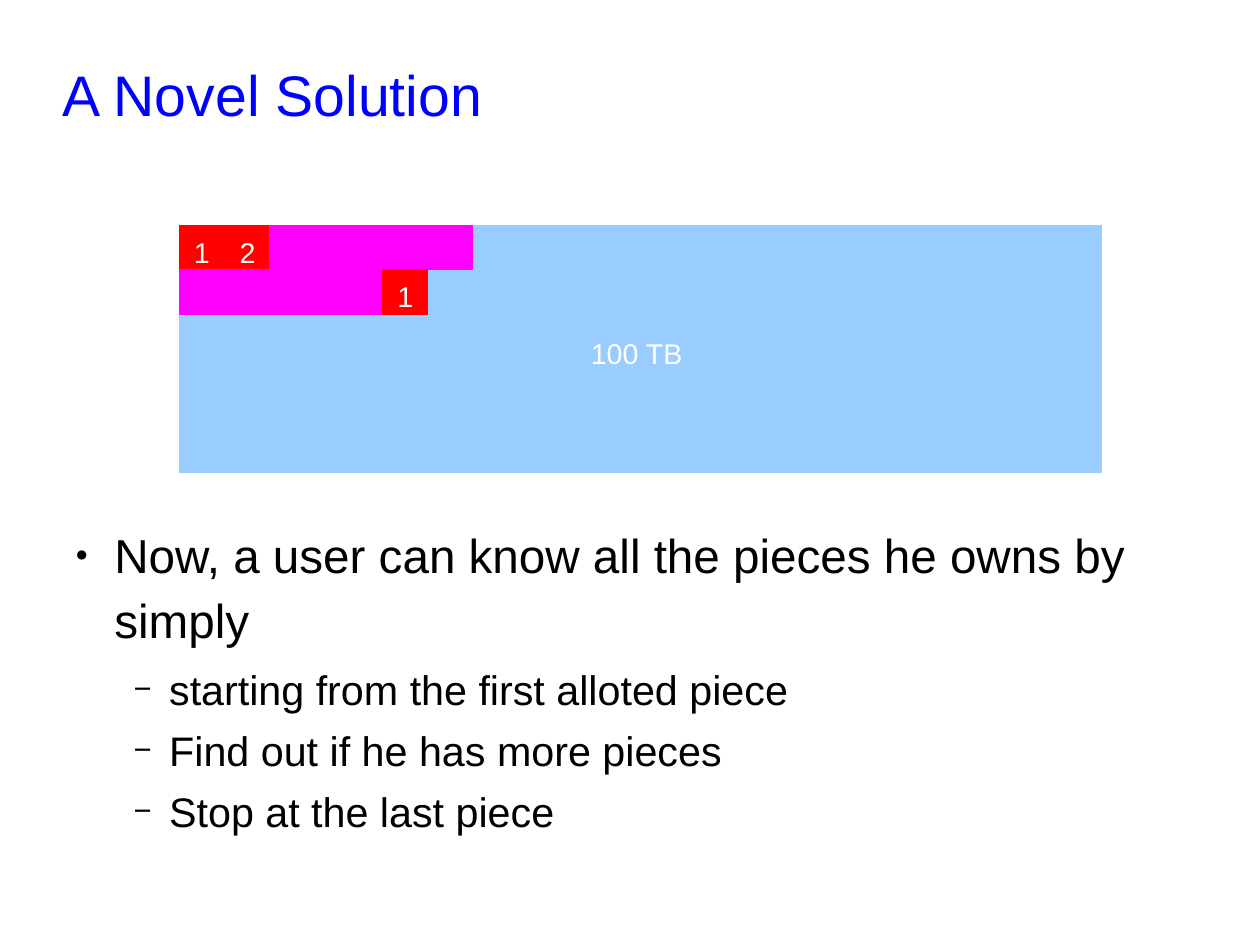
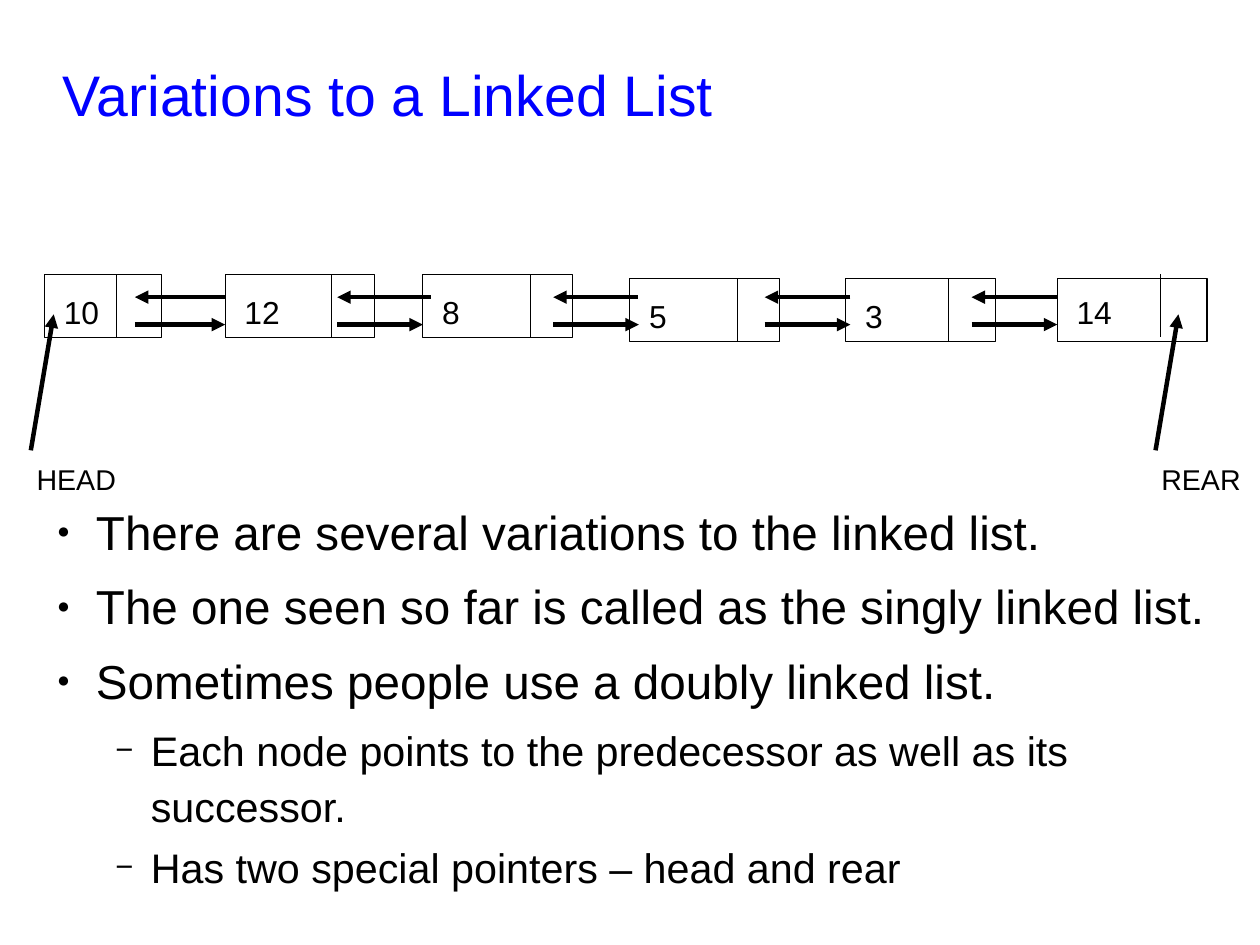
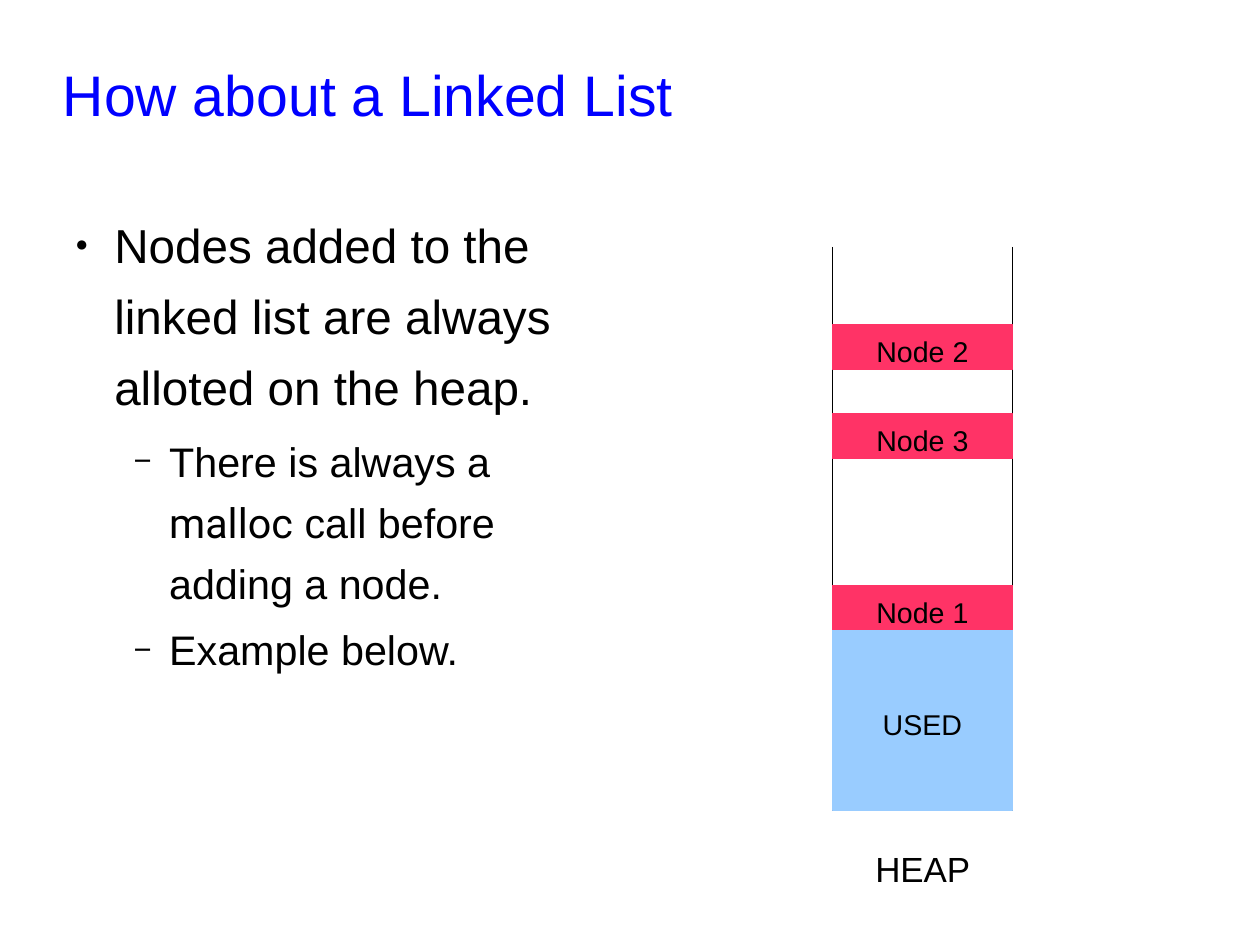
from lxml import etree
from pptx import Presentation
from pptx import util as u
from pptx.dml.color import RGBColor
from pptx.enum import shapes, text
from pptx.oxml.ns import qn

BLUE = RGBColor(0x00, 0x00, 0xFF)
SKY = RGBColor(0x99, 0xCC, 0xFF)
RED = RGBColor(0xFF, 0x00, 0x00)
MAGENTA = RGBColor(0xFF, 0x00, 0xFF)
PINK = RGBColor(0xFF, 0x33, 0x66)
BLACK = RGBColor(0x00, 0x00, 0x00)
WHITE = RGBColor(0xFF, 0xFF, 0xFF)
FONT = "Arial"
CODE_FONT = "Roboto"
SPACING = 1.24
LEVELS = [
    dict(size=30, margin=0.45, indent=-0.34, after=5.8, char="●", percent=45),
    dict(size=26, margin=0.93, indent=-0.31, after=2.9, char="−", percent=75),
]

SOLUTION_TEXT = [
    (0, ["Now, a user can know all the pieces he owns by simply"]),
    (1, ["starting from the first alloted piece"]),
    (1, ["Find out if he has more pieces"]),
    (1, ["Stop at the last piece"]),
]
CELL = 0.39
DISK_LEFT, DISK_TOP = 1.57, 1.97
DISK_PIECES = [
    (1.57, 0, CELL, RED, "1"),
    (1.97, 0, CELL, RED, "2"),
    (2.36, 0, 1.77, MAGENTA, ""),
    (1.57, 1, 1.77, MAGENTA, ""),
    (3.35, 1, CELL, RED, "1"),
]

VARIATIONS_TEXT = [
    (0, ["There are several variations to the linked list."]),
    (0, ["The one seen so far is called as the singly linked list."]),
    (0, ["Sometimes people use a doubly linked list."]),
    (1, ["Each node points to the predecessor as well as its successor."]),
    (1, ["Has two special pointers – head and rear"]),
]
NODE_HEIGHT = 0.55
LIST_NODES = [
    ("10", 0.39, 2.4, 1.02, 1.02, 2.4),
    ("12", 1.97, 2.4, 1.31, 2.9, 2.4),
    ("8", 3.7, 2.4, 1.31, 4.64, 2.4),
    ("5", 5.51, 2.44, 1.31, 6.45, 2.44),
    ("3", 7.4, 2.44, 1.31, 8.3, 2.44),
    ("14", 9.25, 2.44, 1.31, 10.15, 2.4),
]
LINKS = [(1.18, 1.97, 1.97), (2.95, 3.7, 3.77), (4.84, 5.59, 5.58),
         (6.69, 7.44, 7.44), (8.5, 9.25, 9.25)]
NEXT_Y, PREVIOUS_Y = 2.84, 2.6
END_POINTERS = [("HEAD", 0.2), ("REAR", 10.04)]

HEAP_TEXT = [
    (0, ["Nodes added to the linked list are always alloted on the heap."]),
    (1, ["There is always a ", ("malloc", CODE_FONT), " call before adding a node."]),
    (1, ["Example below."]),
]
HEAP_LEFT, HEAP_RIGHT, HEAP_TOP, HEAP_BOTTOM = 7.28, 8.86, 2.16, 7.09
HEAP_BLOCKS = [
    ("USED", 5.51, 1.58, SKY),
    ("Node 1", 5.12, CELL, PINK),
    ("Node 2", 2.84, CELL, PINK),
    ("Node 3", 3.62, CELL, PINK),
]


def box(*lengths):
    return [u.Inches(n) for n in lengths]


def set_frame(tf, inset_x=0.1, inset_y=0.05, wrap=True, anchor=text.MSO_ANCHOR.TOP):
    tf.word_wrap = wrap
    tf.auto_size = text.MSO_AUTO_SIZE.NONE
    tf.vertical_anchor = anchor
    tf.margin_left = tf.margin_right = u.Inches(inset_x)
    tf.margin_top = tf.margin_bottom = u.Inches(inset_y)


def add_run(p, words, size, color=BLACK, font=FONT):
    r = p.add_run()
    r.text = words
    r.font.size = u.Pt(size)
    r.font.name = font
    r.font.color.rgb = color


def set_line(p, words, size, color=BLACK, align=text.PP_ALIGN.LEFT):
    p.alignment = align
    p.line_spacing = SPACING
    add_run(p, words, size, color)


def add_titled_slide(prs, title):
    s = prs.slides.add_slide(prs.slide_layouts[5])
    sp = s.shapes.title
    sp.left, sp.top, sp.width, sp.height = box(0.55, 0.38, 9.9, 0.74)
    set_frame(sp.text_frame, 0, 0, anchor=text.MSO_ANCHOR.MIDDLE)
    set_line(sp.text_frame.paragraphs[0], title, 36, BLUE)
    return s


def add_bullet(p, style):
    pPr = p._p.get_or_add_pPr()
    pPr.set("marL", str(u.Inches(style["margin"])))
    pPr.set("indent", str(u.Inches(style["indent"])))
    color = etree.SubElement(pPr, qn("a:buClr"))
    etree.SubElement(color, qn("a:srgbClr")).set("val", str(BLACK))
    etree.SubElement(pPr, qn("a:buSzPct")).set("val", str(style["percent"] * 1000))
    etree.SubElement(pPr, qn("a:buFont")).set("typeface", FONT)
    etree.SubElement(pPr, qn("a:buChar")).set("char", style["char"])


def add_body(s, items, place, spacing):
    tf = s.shapes.add_textbox(*box(*place)).text_frame
    set_frame(tf, 0, 0)
    for i, (level, parts) in enumerate(items):
        p = tf.add_paragraph() if i else tf.paragraphs[0]
        style = LEVELS[level]
        add_bullet(p, style)
        p.level = level
        p.line_spacing = spacing
        p.space_before = u.Pt(0)
        p.space_after = u.Pt(style["after"])
        for part in parts:
            words, font = (part, FONT) if isinstance(part, str) else part
            add_run(p, words, style["size"], font=font)


def add_block(s, place, fill=None, label="", color=BLACK):
    sp = s.shapes.add_shape(shapes.MSO_SHAPE.RECTANGLE, *box(*place))
    sp.shadow.inherit = False
    sp.line.width = u.Pt(0.75)
    sp.line.color.rgb = fill or BLACK
    if fill:
        sp.fill.solid()
        sp.fill.fore_color.rgb = fill
    else:
        sp.fill.background()
    if label:
        set_frame(sp.text_frame, wrap=False, anchor=text.MSO_ANCHOR.MIDDLE)
        set_line(sp.text_frame.paragraphs[0], label, 18, color, text.PP_ALIGN.CENTER)


def add_label(s, words, place, size, inset_x=0.1, inset_y=0.05):
    tf = s.shapes.add_textbox(*box(*place)).text_frame
    set_frame(tf, inset_x, inset_y)
    set_line(tf.paragraphs[0], words, size)


def add_line(s, x1, y1, x2, y2, arrow=False):
    c = s.shapes.add_connector(shapes.MSO_CONNECTOR.STRAIGHT, *box(x1, y1, x2, y2))
    c.line.color.rgb = BLACK
    c.line.width = u.Pt(2.83 if arrow else 0.75)
    spPr = c._element.spPr
    if arrow:
        etree.SubElement(spPr.find(qn("a:ln")), qn("a:tailEnd")).set("type", "triangle")
    etree.SubElement(spPr, qn("a:effectLst"))


def build_solution(prs):
    s = add_titled_slide(prs, "A Novel Solution")
    add_body(s, SOLUTION_TEXT, (0.55, 4.53, 9.91, 3.01), 1.14)
    add_block(s, (DISK_LEFT, DISK_TOP, 8.07, 2.16), SKY, "100 TB ", WHITE)
    for left, row, width, fill, label in DISK_PIECES:
        add_block(s, (left, DISK_TOP + row * CELL, width, CELL), fill, label, WHITE)


def build_variations(prs):
    s = add_titled_slide(prs, "Variations to a Linked List")
    add_body(s, VARIATIONS_TEXT, (0.39, 4.33, 10.24, 3.75), 1.14)
    for label, left, top, width, divider, divider_top in LIST_NODES:
        add_block(s, (left, top, width, NODE_HEIGHT))
        add_line(s, divider, divider_top, divider, divider_top + NODE_HEIGHT)
        add_label(s, label, (left + 0.07, divider_top + 0.03, 0.52, 0.51), 20)
    for left, next_right, previous_right in LINKS:
        add_line(s, left, NEXT_Y, next_right, NEXT_Y, arrow=True)
        add_line(s, previous_right, PREVIOUS_Y, left, PREVIOUS_Y, arrow=True)
    for label, left in END_POINTERS:
        add_line(s, left + 0.07, 3.94, left + 0.27, 2.75, arrow=True)
        add_label(s, label, (left, 3.9, 1.18, 0.51), 18, 0.12, 0.07)


def build_heap(prs):
    s = add_titled_slide(prs, "How about a Linked List")
    add_body(s, HEAP_TEXT, (0.55, 1.77, 4.37, 5.81), SPACING)
    for x in (HEAP_LEFT, HEAP_RIGHT):
        add_line(s, x, HEAP_TOP, x, HEAP_BOTTOM)
    add_line(s, HEAP_LEFT, HEAP_BOTTOM, HEAP_RIGHT, HEAP_BOTTOM)
    add_label(s, "HEAP", (7.56, 7.28, 1.18, 0.59), 22)
    for label, top, height, fill in HEAP_BLOCKS:
        add_block(s, (HEAP_LEFT, top, HEAP_RIGHT - HEAP_LEFT, height), fill, label)


def main():
    prs = Presentation()
    prs.slide_width = u.Cm(28)
    prs.slide_height = u.Cm(21)
    build_solution(prs)
    build_variations(prs)
    build_heap(prs)
    prs.save("out.pptx")


if __name__ == "__main__":
    main()
